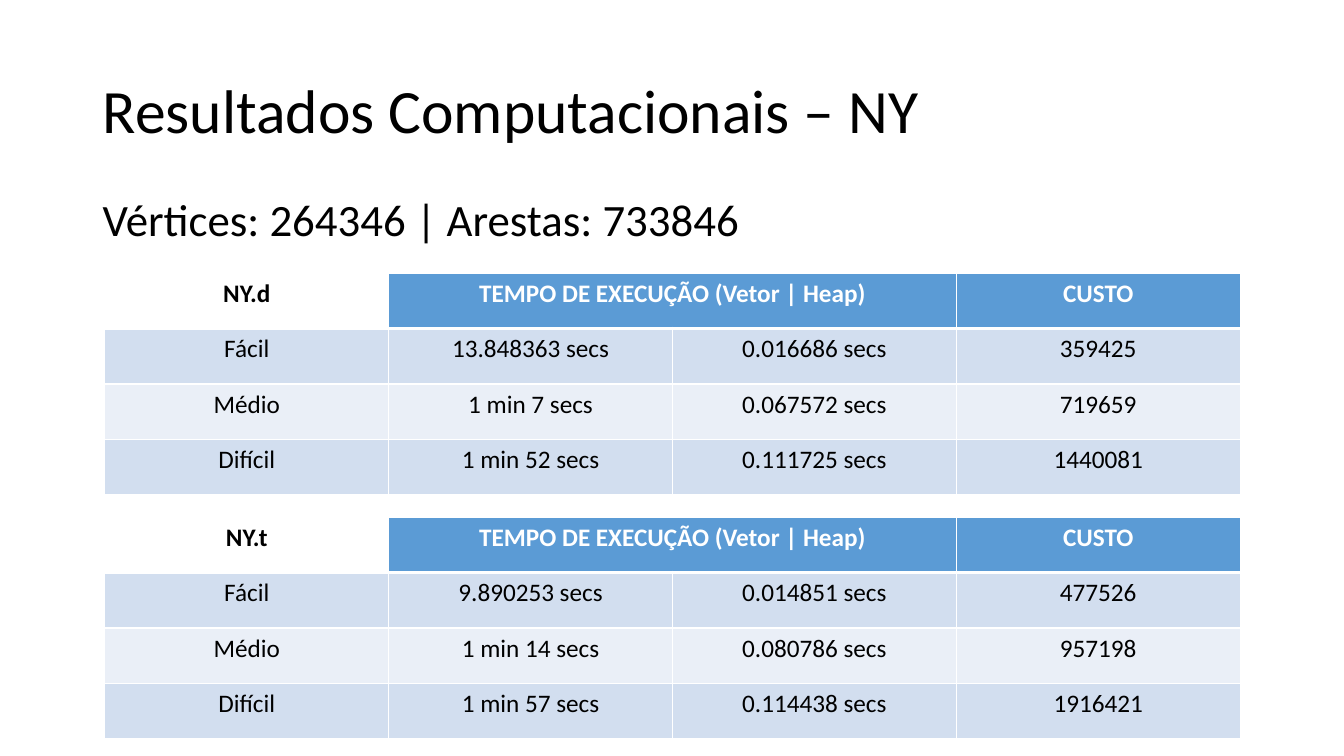
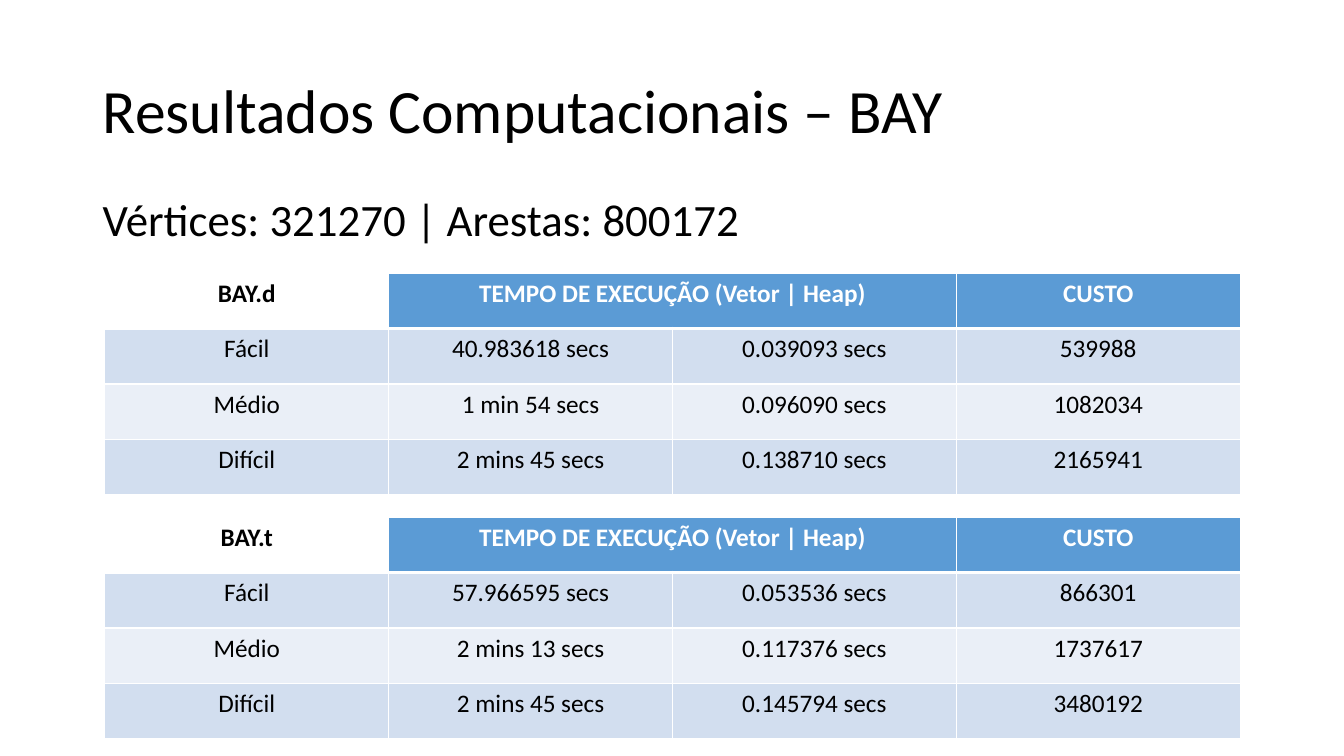
import pptx
import pptx.util
import pptx.dml.color
import pptx.enum.text
import pptx.oxml.ns
import lxml.etree

Inches = pptx.util.Inches
FONT = "Calibri"
COLORS = {
    "text": "000000",
    "white": "FFFFFF",
    "header": "5B9BD5",
    "band_dark": "D2DEEF",
    "band_light": "EAEFF7",
}
LEFT_MARGIN = 0.92
TABLE_LEFT, TABLE_WIDTH = 1.04, 11.26
TABLE_TOPS = (2.71, 5.13)
ROW_HEIGHT = 0.55
HEADINGS = ("TEMPO DE EXECUÇÃO (Vetor | Heap)", "", "CUSTO")
LEVELS = ("Fácil", "Médio", "Difícil")

# Each instance: name, vertices, edges, then results by table suffix
INSTANCES = [
    ("NY", 264346, 733846, {
        "d": [("13.848363 secs", "0.016686 secs", "359425"),
              ("1 min 7 secs", "0.067572 secs", "719659"),
              ("1 min 52 secs", "0.111725 secs", "1440081")],
        "t": [("9.890253 secs", "0.014851 secs", "477526"),
              ("1 min 14 secs", "0.080786 secs", "957198"),
              ("1 min 57 secs", "0.114438 secs", "1916421")],
    }),
    ("BAY", 321270, 800172, {
        "d": [("40.983618 secs", "0.039093 secs", "539988"),
              ("1 min 54 secs", "0.096090 secs", "1082034"),
              ("2 mins 45 secs", "0.138710 secs", "2165941")],
        "t": [("57.966595 secs", "0.053536 secs", "866301"),
              ("2 mins 13 secs", "0.117376 secs", "1737617"),
              ("2 mins 45 secs", "0.145794 secs", "3480192")],
    }),
]


def rgb(name):
    return pptx.dml.color.RGBColor.from_string(COLORS[name])


def write_text(frame, text, size=18, color="text", bold=False, align="LEFT", line_spacing=None):
    paragraph = frame.paragraphs[0]
    paragraph.alignment = getattr(pptx.enum.text.PP_ALIGN, align)
    paragraph.line_spacing = line_spacing
    run = paragraph.add_run()
    run.text = text
    run.font.name = FONT
    run.font.size = pptx.util.Pt(size)
    run.font.bold = bold
    run.font.color.rgb = rgb(color)


def place(shape, left, top, width, height):
    shape.left, shape.top = Inches(left), Inches(top)
    shape.width, shape.height = Inches(width), Inches(height)


def set_borders(cell, top=1, bottom=1):
    """Draw white borders, with widths in points."""
    qualified = pptx.oxml.ns.qn
    properties = cell._tc.get_or_add_tcPr()
    for side, width in (("L", 1), ("R", 1), ("T", top), ("B", bottom)):
        line = lxml.etree.SubElement(properties, qualified("a:ln" + side),
                                     w=str(pptx.util.Pt(width)))
        fill = lxml.etree.SubElement(line, qualified("a:solidFill"))
        lxml.etree.SubElement(fill, qualified("a:srgbClr"), val=COLORS["white"])


def format_cell(cell, text, row, column):
    is_header = row == 0
    is_corner = is_header and column == 0
    set_borders(cell, top=3 if row == 1 else 1, bottom=3 if is_header else 1)
    if is_corner:
        cell.fill.background()
    else:
        band = "band_dark" if row % 2 else "band_light"
        cell.fill.solid()
        cell.fill.fore_color.rgb = rgb("header" if is_header else band)
    if text:
        color = "white" if is_header and not is_corner else "text"
        write_text(cell.text_frame, text, color=color, bold=is_header, align="CENTER")


def add_results_table(slide, name, results, top):
    rows = [(name, *HEADINGS)]
    rows += [(level, *values) for level, values in zip(LEVELS, results)]
    frame = slide.shapes.add_table(
        len(rows), len(rows[0]), Inches(TABLE_LEFT), Inches(top),
        Inches(TABLE_WIDTH), Inches(ROW_HEIGHT * len(rows)))
    table = frame.table
    for row, texts in enumerate(rows):
        for column, text in enumerate(texts):
            format_cell(table.cell(row, column), text, row, column)
    # The time heading covers both time columns
    table.cell(0, 1).merge(table.cell(0, 2))


def add_title(slide, text):
    title = slide.shapes.title
    place(title, LEFT_MARGIN, 0.4, 11.5, 1.45)
    title.text_frame.vertical_anchor = pptx.enum.text.MSO_ANCHOR.MIDDLE
    write_text(title.text_frame, text, size=44, line_spacing=0.9)


def add_graph_size(slide, text):
    box = slide.shapes.add_textbox(Inches(LEFT_MARGIN), Inches(1.85), Inches(6.57), Inches(0.64))
    box.text_frame.word_wrap = True
    box.text_frame.auto_size = pptx.enum.text.MSO_AUTO_SIZE.SHAPE_TO_FIT_TEXT
    write_text(box.text_frame, text, size=32)


def add_results_slide(presentation, name, vertices, edges, results):
    title_only = presentation.slide_layouts[5]
    slide = presentation.slides.add_slide(title_only)
    add_title(slide, f"Resultados Computacionais – {name}")
    add_graph_size(slide, f"Vértices: {vertices} | Arestas: {edges}")
    for top, (suffix, values) in zip(TABLE_TOPS, results.items()):
        add_results_table(slide, f"{name}.{suffix}", values, top)


def main():
    presentation = pptx.Presentation()
    presentation.slide_width = Inches(13.33)
    presentation.slide_height = Inches(7.5)
    for instance in INSTANCES:
        add_results_slide(presentation, *instance)
    presentation.save("out.pptx")


if __name__ == "__main__":
    main()
